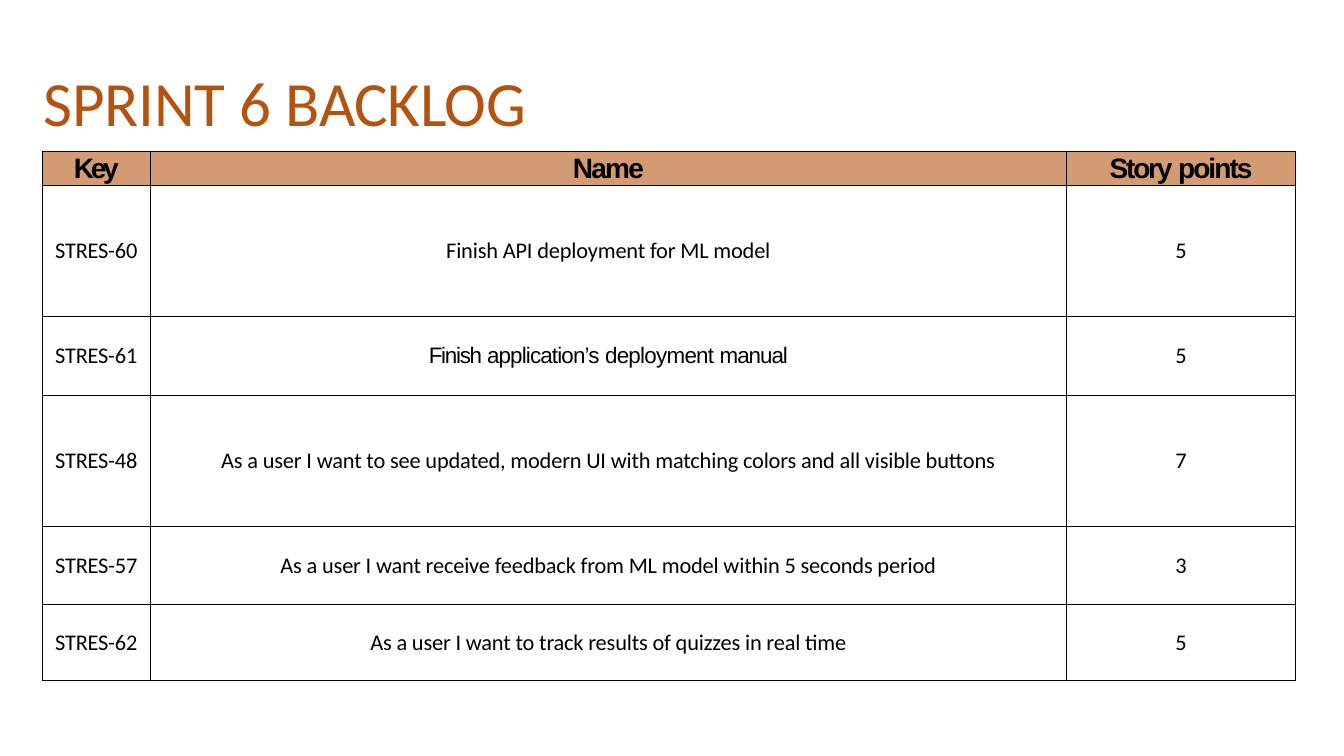
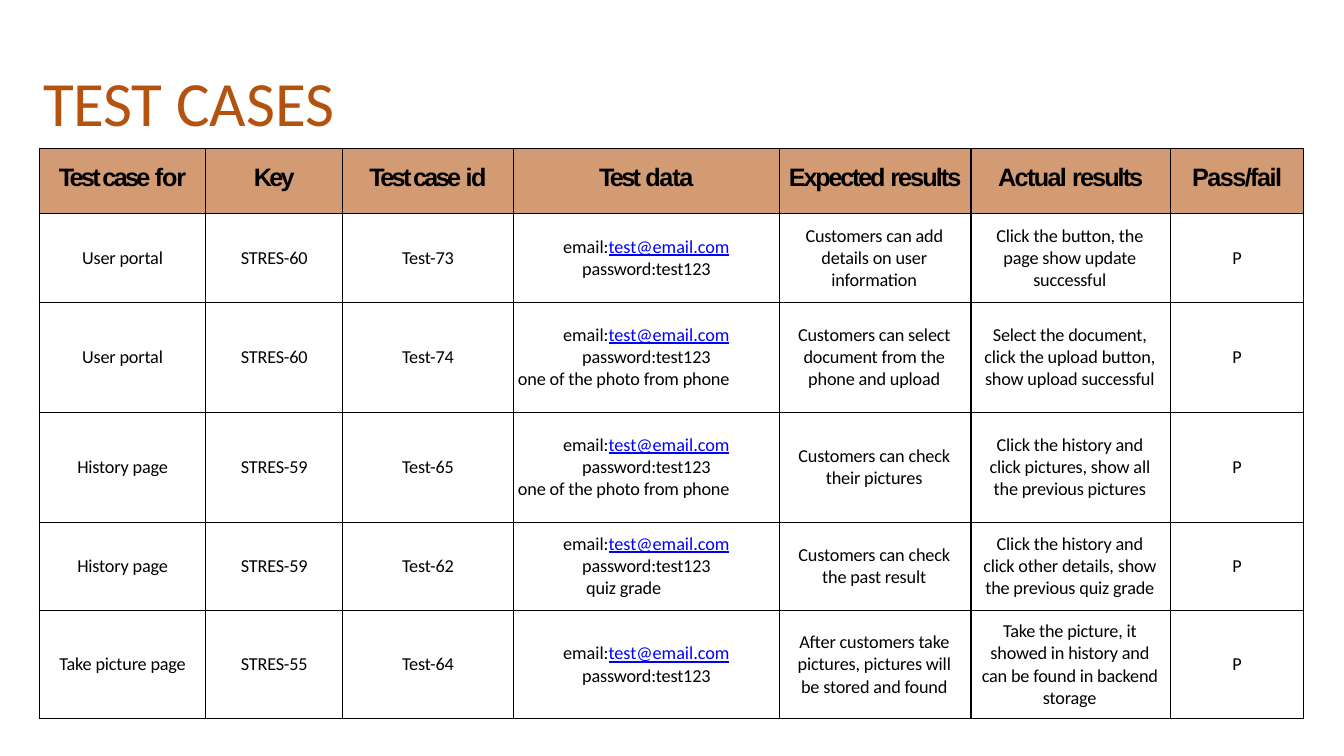
"""Build the sprint backlog and test case table slides."""
from lxml import etree
from pptx import Presentation
from pptx.dml.color import RGBColor
from pptx.enum.text import MSO_ANCHOR, MSO_AUTO_SIZE, PP_ALIGN
from pptx.oxml.ns import qn
from pptx.util import Inches, Pt

COLOURS = {"title": "B3530F", "header": "D29B73", "text": "000000", "link": "0000FF"}
NOTE_INDENT = Inches(0.45)


def write(paragraph, content, size=16, font="Calibri", colour="text", bold=False,
          align=PP_ALIGN.CENTER):
    """Write a string, or a list of (text, letter spacing) or (text, spacing, font)."""
    paragraph.alignment = align
    runs = [(content, -0.1)] if isinstance(content, str) else content
    for text, spacing, *own_font in runs:
        run = paragraph.add_run()
        run.text = text
        is_link = "@" in text
        run.font.size = Pt(size)
        run.font.name = own_font[0] if own_font else font
        run.font.bold = bold
        run.font.underline = is_link
        run.font.color.rgb = RGBColor.from_string(COLOURS["link" if is_link else colour])
        run._r.get_or_add_rPr().set("spc", str(round(spacing * 100)))


def add_table_slide(title_runs, title_width, left, top, widths, heights, rows,
                    header_size, body_size):
    """Add a slide with a title and a bordered table whose first row is the header."""
    slide = presentation.slides.add_slide(presentation.slide_layouts[5])
    title = slide.shapes.title
    title.left, title.top = Inches(0.42), Inches(0.61)
    title.width, title.height = Inches(title_width), Inches(0.78)
    frame = title.text_frame
    frame.auto_size = MSO_AUTO_SIZE.NONE
    frame.word_wrap = False
    frame.vertical_anchor = MSO_ANCHOR.MIDDLE
    frame.margin_left = frame.margin_top = Inches(0.01)
    frame.margin_right = frame.margin_bottom = 0
    write(frame.paragraphs[0], title_runs, size=45, colour="title", align=PP_ALIGN.LEFT)

    table = slide.shapes.add_table(
        len(heights), len(widths), Inches(left), Inches(top),
        Inches(sum(widths)), Inches(sum(heights))).table
    table.first_row = table.horz_banding = False
    for column, width in zip(table.columns, widths):
        column.width = Inches(width)
    for row, height in zip(table.rows, heights):
        row.height = Inches(height)

    for row_index, row in enumerate(rows):
        is_header = row_index == 0
        for column_index, content in enumerate(row):
            cell = table.cell(row_index, column_index)
            cell.vertical_anchor = MSO_ANCHOR.MIDDLE
            wraps = len(widths) == 7 and column_index in (4, 5) and not is_header
            cell.margin_left = Inches(0.1 if wraps else 0)
            cell.margin_right = Inches(0.12 if wraps else 0)
            cell.margin_top = 0
            cell.margin_bottom = Inches(0.06 if is_header and header_size == 18 else 0)
            properties = cell._tc.get_or_add_tcPr()
            for side in ("a:lnL", "a:lnR", "a:lnT", "a:lnB"):
                line = etree.SubElement(properties, qn(side), w=str(Pt(1)))
                fill = etree.SubElement(line, qn("a:solidFill"))
                etree.SubElement(fill, qn("a:srgbClr"), val=COLOURS["text"])
            if is_header:
                cell.fill.solid()
                cell.fill.fore_color.rgb = RGBColor.from_string(COLOURS["header"])
            else:
                cell.fill.background()
            lines = [content] if isinstance(content, str) else content
            for index, line_content in enumerate(lines):
                frame = cell.text_frame
                paragraph = frame.add_paragraph() if index else frame.paragraphs[0]
                if index > 1:
                    paragraph._p.get_or_add_pPr().set("marR", str(NOTE_INDENT))
                write(paragraph, line_content,
                      size=header_size if is_header else body_size,
                      font="Arial" if is_header else "Calibri", bold=is_header)


presentation = Presentation()
presentation.slide_width, presentation.slide_height = Inches(13.33), Inches(7.5)

backlog = [
    [[[("Key", -2.3)]], [[("Name", -1.3)]], [[("Story ", -1.6), ("points", -1.4)]]],
    ["STRES-60", "Finish API deployment for ML model", "5"],
    ["STRES-61",
     [[("Finish ", -0.9, "Arial"), ("application’s ", -0.6, "Arial"),
       ("deployment ", -0.5, "Arial"), ("manual", -0.7, "Arial")]], "5"],
    ["STRES-48", "As a user I want to see updated, modern UI with matching colors "
     "and all visible buttons", "7"],
    ["STRES-57", "As a user I want receive feedback from ML model within "
     "5 seconds period", "3"],
    ["STRES-62", "As a user I want to track results of quizzes in real time", "5"],
]
add_table_slide([("SPRINT ", -0.1), ("6 ", 0), ("BACKLOG", -0.3)], 4.84, 0.42, 1.5,
                [1.07, 9.09, 2.27], [0.34, 1.3, 0.78, 1.3, 0.78, 0.75],
                backlog, header_size=20, body_size=16)

login = [[("email:", 0), ("test@email.com", 0)], "password:test123"]
photo_login = login + ["one of the photo from phone"]
test_cases = [
    [[[("Test case ", -1.9), ("for", -0.8)]], [[("Key", -2)]],
     [[("Test case ", -1.9), ("id", -1)]], [[("Test ", -1.9), ("data", -0.9)]],
     [[("Expected ", -1.6), ("results", -1.4)]],
     [[("Actual ", -1.2), ("results", -1.4)]], [[("Pass/fail", -1.1)]]],
    ["User portal", "STRES-60", "Test-73", login,
     "Customers can add details on user information",
     "Click the button, the page show update successful", "P"],
    ["User portal", "STRES-60", "Test-74", photo_login,
     "Customers can select document from the phone and upload",
     "Select the document, click the upload button, show upload successful", "P"],
    ["History page", "STRES-59", "Test-65", photo_login,
     "Customers can check their pictures",
     "Click the history and click pictures, show all the previous pictures", "P"],
    ["History page", "STRES-59", "Test-62", login + ["quiz grade"],
     "Customers can check the past result",
     "Click the history and click other details, show the previous quiz grade", "P"],
    ["Take picture page", "STRES-55", "Test-64", login,
     "After customers take pictures, pictures will be stored and found",
     "Take the picture, it showed in history and can be found in backend storage", "P"],
]
add_table_slide([("TEST ", -0.2), ("CASES", -0.1)], 2.92, 0.39, 1.47,
                [1.65, 1.36, 1.69, 2.64, 1.9, 1.98, 1.32],
                [0.65, 0.88, 1.09, 1.09, 0.88, 1.07],
                test_cases, header_size=18, body_size=13)

presentation.save("out.pptx")
